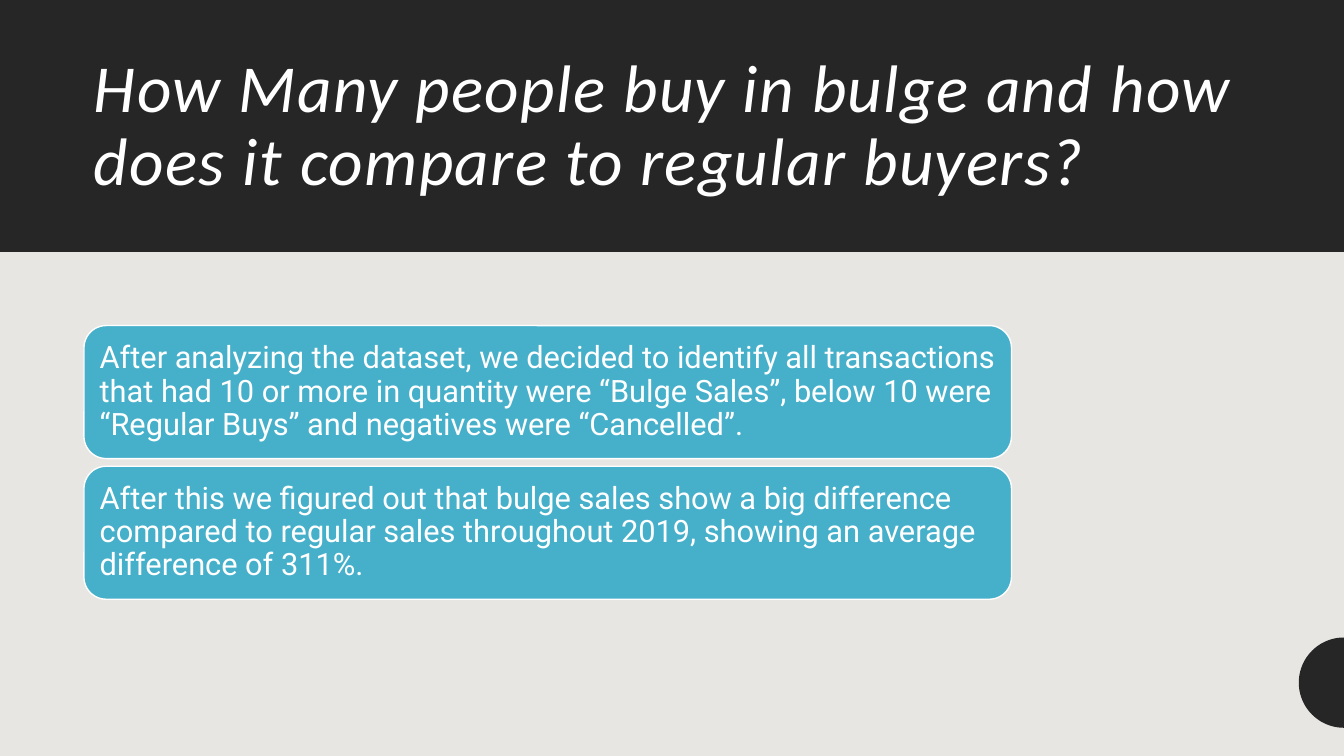
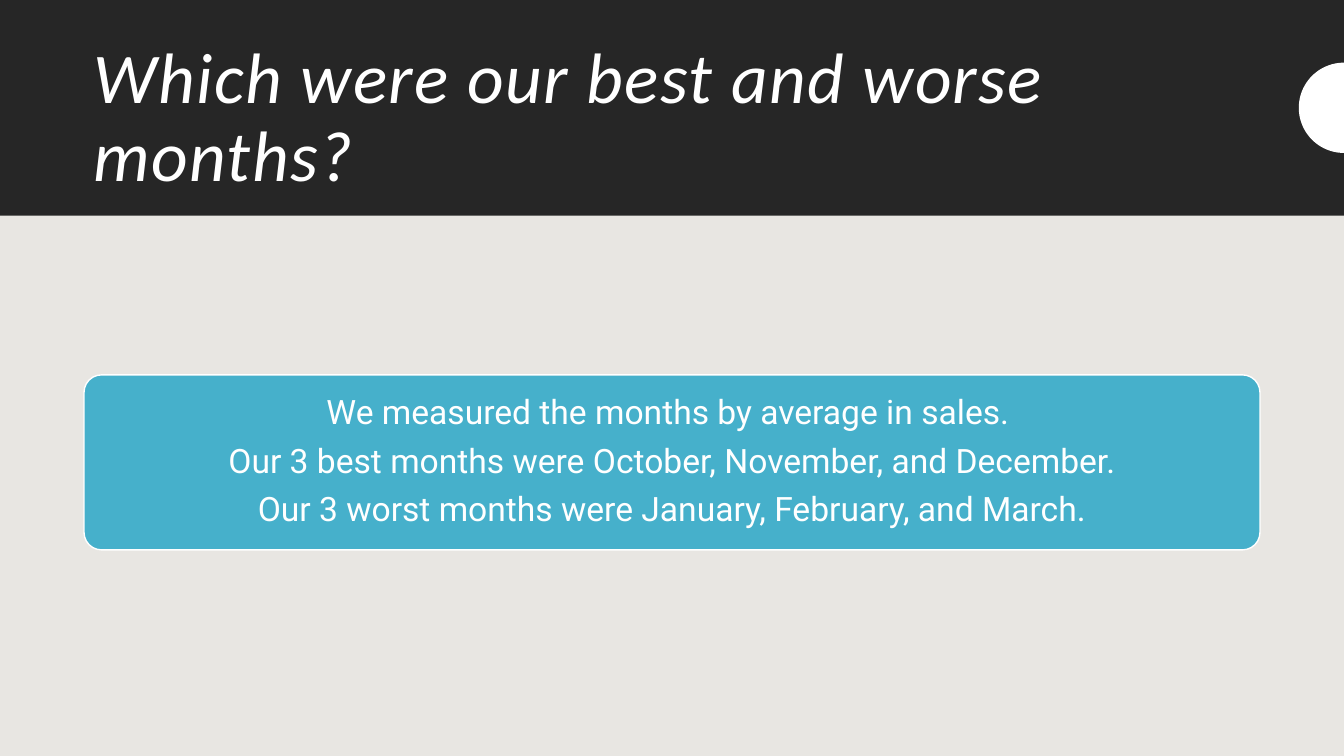
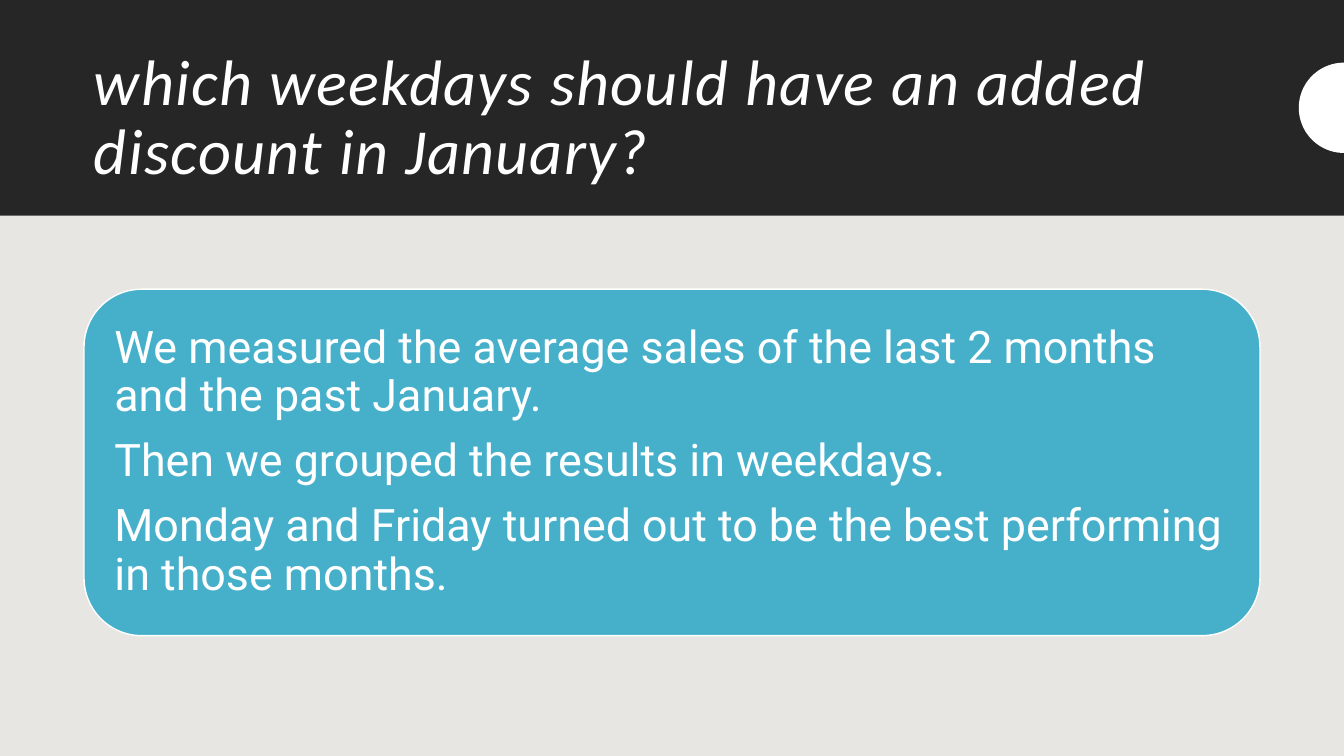
from dataclasses import dataclass
from math import cos, pi, sin

from pptx import Presentation
from pptx.dml.color import RGBColor
from pptx.enum.shapes import MSO_SHAPE
from pptx.enum.text import MSO_ANCHOR, PP_ALIGN
from pptx.util import Pt


@dataclass(frozen=True)
class Theme:
    paper: RGBColor = RGBColor.from_string("E8E6E2")
    dark: RGBColor = RGBColor.from_string("262626")
    blue: RGBColor = RGBColor.from_string("46B0CB")
    white: RGBColor = RGBColor.from_string("FFFFFF")
    head: str = "Calibri"
    body: str = "Roboto"
    wide: float = 960
    high: float = 540
    left: float = 60
    span: float = 840  # text width between the side margins
    middle: float = 330.3  # vertical centre of the cards
    gap: float = 5.5
    radius: float = 32.25
    leading: float = 0.9
    title_big: float = 51
    title_mid: float = 48
    title_small: float = 45.9
    text_big: float = 32
    text_mid: float = 24
    text_small: float = 22


THEME = Theme()


def paint(shape, color, edge=None):
    shape.shadow.inherit = False
    shape.fill.solid()
    shape.fill.fore_color.rgb = color
    if edge is None:
        shape.line.fill.background()
    else:
        shape.line.color.rgb = edge
        shape.line.width = Pt(1)


def style(par, font, size, italic=False):
    par.line_spacing = THEME.leading
    for run in par.runs:
        run.font.name = font
        run.font.size = Pt(size)
        run.font.italic = italic
        run.font.color.rgb = THEME.white


def add_band(slide, high):
    band = slide.shapes.add_shape(
        MSO_SHAPE.RECTANGLE, 0, 0, Pt(THEME.wide), Pt(high))
    paint(band, THEME.dark)


def add_title(slide, text, size, top, high):
    box = slide.shapes.add_textbox(
        Pt(THEME.left), Pt(top), Pt(THEME.span), Pt(high))
    frame = box.text_frame
    frame.word_wrap = True
    frame.vertical_anchor = MSO_ANCHOR.MIDDLE
    frame.text = text
    par = frame.paragraphs[0]
    style(par, THEME.head, size, italic=True)
    for run in par.runs:
        run.font._element.set("spc", "100")


def add_disc(slide, mid, color):
    """Draw a half disc that bulges in from the right edge, centred at mid."""
    steps = 48
    angles = [pi / 2 + pi * step / steps for step in range(steps + 1)]
    dots = [(Pt(THEME.wide + THEME.radius * cos(angle)),
             Pt(mid + THEME.radius * sin(angle))) for angle in angles]
    form = slide.shapes.build_freeform(*dots[0])
    form.add_line_segments(dots[1:], close=True)
    paint(form.convert_to_shape(), color)


def add_card(slide, lines, size, top, wide, high, align, bend):
    card = slide.shapes.add_shape(
        MSO_SHAPE.ROUNDED_RECTANGLE,
        Pt(THEME.left), Pt(top), Pt(wide), Pt(high))
    card.adjustments[0] = bend
    paint(card, THEME.blue, THEME.white)
    frame = card.text_frame
    frame.word_wrap = True
    frame.vertical_anchor = MSO_ANCHOR.MIDDLE
    inset = Pt(0.3 * size)
    frame.margin_left = frame.margin_right = inset
    frame.margin_top = frame.margin_bottom = inset
    frame.text = "\n".join(lines)
    for par in frame.paragraphs:
        par.alignment = align
        par.space_after = Pt(0.37 * size)
        style(par, THEME.body, size)


def add_stack(slide, cards, size, high, wide=THEME.span,
              align=PP_ALIGN.LEFT, bend=0.1667):
    """Stack equal cards, each a list of lines, around the shared middle."""
    pitch = high + THEME.gap
    start = THEME.middle - (len(cards) * pitch - THEME.gap) / 2
    for index, lines in enumerate(cards):
        add_card(slide, lines, size, start + index * pitch,
                 wide, high, align, bend)


def add_page(deck, title, size, low=False):
    """Add a slide; low gives the tall band with the disc at the bottom."""
    slide = deck.slides.add_slide(deck.slide_layouts[6])
    fill = slide.background.fill
    fill.solid()
    fill.fore_color.rgb = THEME.paper
    if low:
        add_band(slide, 180)
        add_title(slide, title, size, 29.5, 122.5)
        add_disc(slide, 487.6, THEME.dark)
    else:
        add_band(slide, 154)
        add_title(slide, title, size, 33, 104.5)
        add_disc(slide, 77, THEME.white)
    return slide


def main():
    deck = Presentation()
    deck.slide_width = Pt(THEME.wide)
    deck.slide_height = Pt(THEME.high)

    bulge = add_page(
        deck,
        "How Many people buy in bulge and how does it compare to regular buyers?",
        THEME.title_mid, low=True)
    add_stack(bulge, [
        ["After analyzing the dataset, we decided to identify all transactions "
         "that had 10 or more in quantity were “Bulge Sales”, below 10 were "
         "“Regular Buys” and negatives were “Cancelled”."],
        ["After this we figured out that bulge sales show a big difference "
         "compared to regular sales throughout 2019, showing an average "
         "difference of 311%."],
    ], THEME.text_small, high=95, wide=662.5)

    months = add_page(
        deck, "Which were our best and worse months?", THEME.title_big)
    add_stack(months, [[
        "We measured the months by average in sales. ",
        "Our 3 best months were October, November, and December.",
        "Our 3 worst months were January, February, and March.",
    ]], THEME.text_mid, high=125, align=PP_ALIGN.CENTER, bend=0.1)

    days = add_page(
        deck, "which weekdays should have an added discount in January?",
        THEME.title_small)
    add_stack(days, [[
        "We measured the average sales of the last 2 months and the past "
        "January.",
        "Then we grouped the results in weekdays.",
        "Monday and Friday turned out to be the best performing in those "
        "months.",
    ]], THEME.text_big, high=247.5)

    deck.save("out.pptx")


if __name__ == "__main__":
    main()
